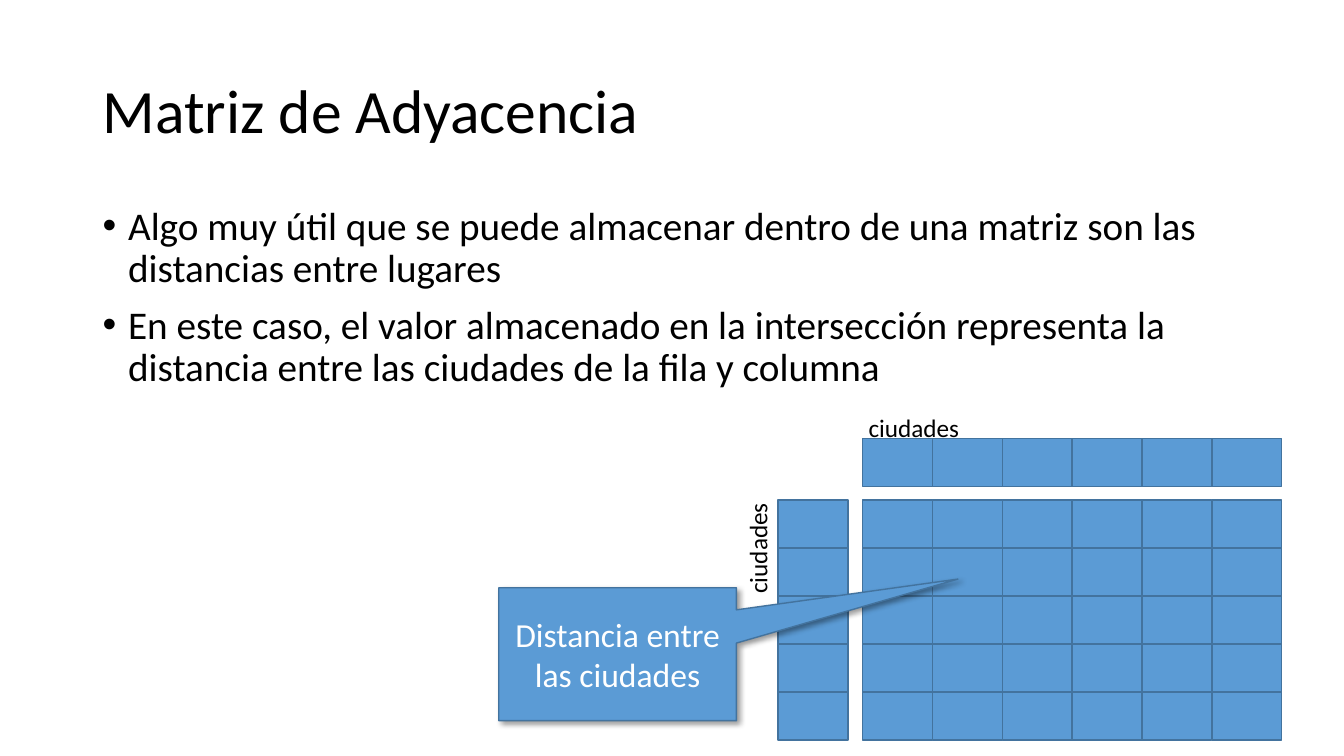
from lxml.etree import SubElement
from pptx import Presentation
from pptx.dml.color import RGBColor
from pptx.enum.shapes import MSO_SHAPE
from pptx.enum.text import MSO_ANCHOR, PP_ALIGN
from pptx.oxml.ns import qn
from pptx.util import Cm, Pt

BLACK = RGBColor(0x00, 0x00, 0x00)
WHITE = RGBColor(0xFF, 0xFF, 0xFF)
BLUE = RGBColor(0x5B, 0x9B, 0xD5)
DARK_BLUE = RGBColor(0x43, 0x73, 0x9E)

CELL_WIDTH, CELL_HEIGHT = 1.76, 1.21
ROWS, COLUMNS = 5, 6


def write_text(shape, text, size, color=BLACK, align=PP_ALIGN.LEFT,
               anchor=MSO_ANCHOR.TOP, line_spacing=None, space_before=0, bullet=None):
    """Fill a shape with one paragraph per line of text."""
    frame = shape.text_frame
    frame.word_wrap = True
    frame.vertical_anchor = anchor
    for index, line in enumerate(text.split("\n")):
        paragraph = frame.add_paragraph() if index else frame.paragraphs[0]
        if bullet:
            properties = paragraph._p.get_or_add_pPr()
            properties.set("marL", str(Cm(0.64)))
            properties.set("indent", str(-Cm(0.64)))
            SubElement(properties, qn("a:buFont"), typeface="Arial")
            SubElement(properties, qn("a:buChar"), char=bullet)
        paragraph.alignment = align
        if line_spacing:
            paragraph.line_spacing = line_spacing
        if index:
            paragraph.space_before = Pt(space_before)
        run = paragraph.add_run()
        run.text = line
        run.font.name = "Calibri"
        run.font.size = Pt(size)
        run.font.color.rgb = color


def add_text(slide, left, top, width, height, text, size, **text_format):
    shape = slide.shapes.add_textbox(Cm(left), Cm(top), Cm(width), Cm(height))
    write_text(shape, text, size, **text_format)
    return shape


def add_blue_shape(slide, kind, left, top, width, height):
    shape = slide.shapes.add_shape(kind, Cm(left), Cm(top), Cm(width), Cm(height))
    shape.shadow.inherit = False
    shape.fill.solid()
    shape.fill.fore_color.rgb = BLUE
    shape.line.color.rgb = DARK_BLUE
    shape.line.width = Pt(1)
    return shape


def add_grid(slide, left, top, rows, columns):
    for row in range(rows):
        for column in range(columns):
            add_blue_shape(slide, MSO_SHAPE.RECTANGLE,
                           left + column * CELL_WIDTH, top + row * CELL_HEIGHT,
                           CELL_WIDTH, CELL_HEIGHT)


def add_adjacency_matrix(slide, left, top):
    """Place the matrix at left, top with its city headings around it."""
    # Column headings
    add_grid(slide, left, top - 1.55, 1, COLUMNS)
    add_text(slide, left - 0.1, top - 2.34, 4.52, 1.02, "ciudades", 18)
    # Distances
    add_grid(slide, left, top, ROWS, COLUMNS)
    # Row headings
    label = add_text(slide, left - 5, top + 1.67, 4.7, 1.02, "ciudades", 18,
                     align=PP_ALIGN.RIGHT)
    label.rotation = 270
    add_grid(slide, left - 2.13, top, ROWS, 1)


def add_callout(slide, left, top, width, height, text):
    callout = add_blue_shape(slide, MSO_SHAPE.RECTANGULAR_CALLOUT,
                             left, top, width, height)
    callout.adjustments[0] = 1.432
    callout.adjustments[1] = -0.565
    write_text(callout, text, 24, color=WHITE, align=PP_ALIGN.CENTER,
               anchor=MSO_ANCHOR.MIDDLE)
    # Soft shadow towards the lower right
    effects = callout._element.spPr.find(qn("a:effectLst"))
    shadow = SubElement(effects, qn("a:outerShdw"), blurRad=str(Pt(4)),
                        dist=str(Pt(3)), dir="2700000", algn="tl", rotWithShape="0")
    shadow_color = SubElement(shadow, qn("a:srgbClr"), val=str(BLACK))
    SubElement(shadow_color, qn("a:alpha"), val="40000")


def add_heading_and_points(slide, left, top, width, title, points):
    add_text(slide, left, top, width, 3.68, title, 44,
             anchor=MSO_ANCHOR.MIDDLE, line_spacing=0.9)
    add_text(slide, left, top + 4.06, width, 12.09, "\n".join(points), 28,
             line_spacing=0.9, space_before=10, bullet="•")


def main():
    presentation = Presentation()
    presentation.slide_width = Cm(33.87)
    presentation.slide_height = Cm(19.05)
    slide = presentation.slides.add_slide(presentation.slide_layouts[6])

    add_heading_and_points(slide, 2.34, 1.02, 29.21, "Matriz de Adyacencia", [
        "Algo muy útil que se puede almacenar dentro de una matriz son las "
        "distancias entre lugares",
        "En este caso, el valor almacenado en la intersección representa la "
        "distancia entre las ciudades de la fila y columna",
    ])
    add_adjacency_matrix(slide, 21.74, 12.6)
    add_callout(slide, 12.57, 14.81, 5.99, 3.35, "Distancia entre las ciudades")

    presentation.save("out.pptx")


if __name__ == "__main__":
    main()
